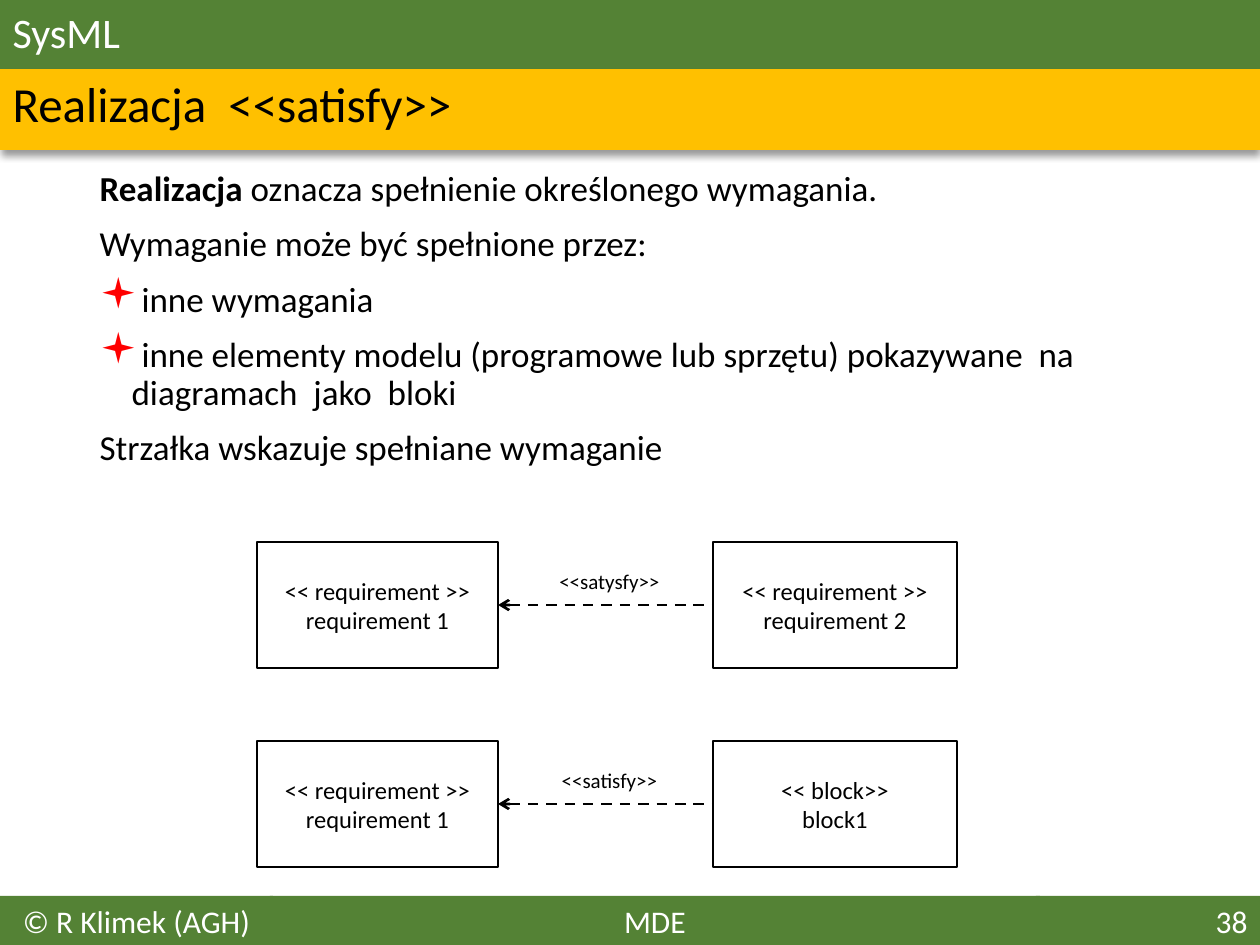
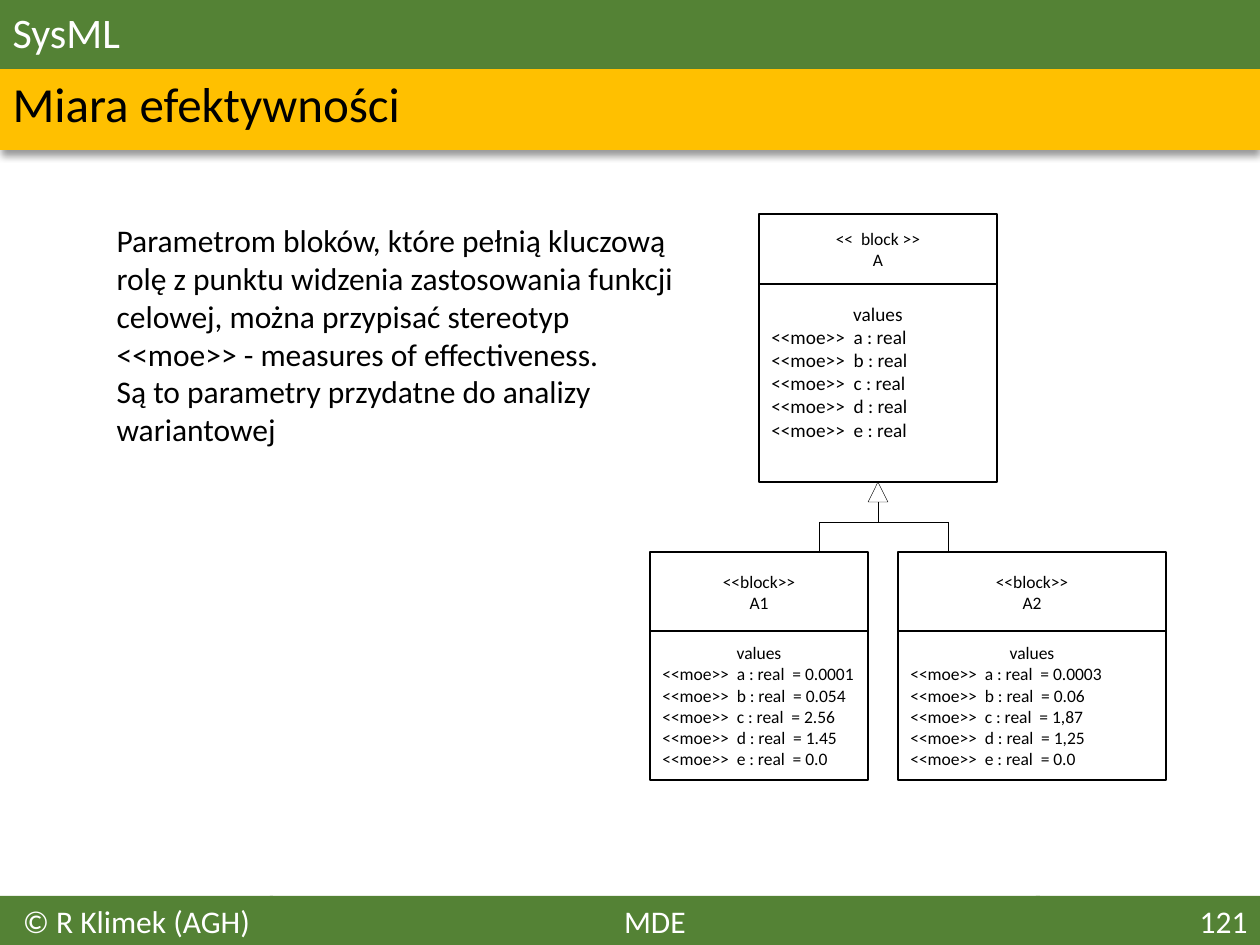
from lxml.etree import SubElement
from pptx import Presentation
from pptx.dml.color import RGBColor
from pptx.enum.dml import MSO_LINE
from pptx.enum.shapes import MSO_CONNECTOR, MSO_SHAPE
from pptx.enum.text import MSO_ANCHOR, MSO_AUTO_SIZE, PP_ALIGN
from pptx.oxml import parse_xml
from pptx.oxml.ns import nsdecls, qn
from pptx.util import Emu, Pt

FONT = "Calibri"
GREEN, GOLD, RED, BLACK, WHITE = "548235", "FFC000", "FF0000", "000000", "FFFFFF"
LEFT, MID, RIGHT = PP_ALIGN.LEFT, PP_ALIGN.CENTER, PP_ALIGN.RIGHT
TWO_CONTENT = 3
HANG = 32
BAND_SHADOW = f"""<a:effectLst {nsdecls("a")}>
  <a:outerShdw blurRad="50800" dist="38100" dir="5400000" algn="t" rotWithShape="0">
    <a:srgbClr val="{BLACK}"><a:alpha val="40000"/></a:srgbClr>
  </a:outerShdw></a:effectLst>"""


def px(n):
    return Emu(round(n * 914400 / 126))


def rgb(code):
    return RGBColor.from_string(code)


def place(shape, box):
    shape.left, shape.top, shape.width, shape.height = map(px, box)


def mark(para, on, hang):
    """Set the hanging indent and the bullet, or switch the bullet off."""
    props = para._p.get_or_add_pPr()
    props.set("marL", str(px(hang)))
    props.set("indent", str(-px(hang)))
    if not on:
        SubElement(props, qn("a:buNone"))
        return
    SubElement(SubElement(props, qn("a:buClr")), qn("a:srgbClr"), val=RED)
    SubElement(props, qn("a:buSzPct"), val="120000")
    SubElement(props, qn("a:buFont"), typeface="Wingdings")
    SubElement(props, qn("a:buChar"), char="▪")


def write(shape, lines, size, color=BLACK, align=LEFT, first=None, anchor=MSO_ANCHOR.TOP,
          bold="", bullets=(), hang=0, space=0, lead=1.0, foot=6):
    """Fill a shape with lines; first aligns the top line, bold is its opening words."""
    frame = shape.text_frame
    frame.auto_size = MSO_AUTO_SIZE.NONE
    frame.word_wrap = True
    frame.vertical_anchor = anchor
    frame.margin_bottom = px(foot)
    for i, line in enumerate(lines):
        para = frame.add_paragraph() if i else frame.paragraphs[0]
        mark(para, i in bullets, hang)
        para.alignment = align if i or first is None else first
        para.line_spacing = lead
        para.space_before = Pt(space if i else 0)
        cut = len(bold) if i == 0 else 0
        for part, heavy in ((line[:cut], True), (line[cut:], False)):
            if part:
                run = para.add_run()
                run.text = part
                font = run.font
                font.name, font.size, font.bold = FONT, Pt(size), heavy
                font.color.rgb = rgb(color)


def draw(slide, box, fill=None, line=None, kind=MSO_SHAPE.RECTANGLE):
    """Add a preset shape; line is a width in points."""
    shape = slide.shapes.add_shape(kind, *map(px, box))
    shape.shadow.inherit = False
    if fill:
        shape.fill.solid()
        shape.fill.fore_color.rgb = rgb(fill)
    else:
        shape.fill.background()
    if line:
        shape.line.width = Pt(line)
        shape.line.color.rgb = rgb(BLACK)
    else:
        shape.line.fill.background()
    return shape


def link(slide, start, end, width=0.5, arrow=False):
    line = slide.shapes.add_connector(MSO_CONNECTOR.STRAIGHT, *map(px, start + end))
    line.line.width = Pt(width)
    line.line.color.rgb = rgb(BLACK)
    props = line._element.spPr
    if arrow:
        line.line.dash_style = MSO_LINE.DASH
        SubElement(props.find(qn("a:ln")), qn("a:headEnd"), type="arrow")
    SubElement(props, qn("a:effectLst"))


def frame(deck, head, number):
    """Add a slide with its bands and footer; return it and its body placeholder."""
    slide = deck.slides.add_slide(deck.slide_layouts[TWO_CONTENT])
    title, band, body = slide.placeholders
    for shape, box, fill in ((title, (0, 0, 1260, 69), GREEN), (band, (0, 69, 1260, 81), GOLD)):
        place(shape, box)
        shape.fill.solid()
        shape.fill.fore_color.rgb = rgb(fill)
    band._element.spPr.append(parse_xml(BAND_SHADOW))
    write(title, ["SysML"], 24, WHITE, anchor=MSO_ANCHOR.MIDDLE, lead=0.9)
    write(band, [head], 28, anchor=MSO_ANCHOR.MIDDLE, lead=0.9, foot=12)
    for x, wide, note, align in ((270, 770, "MDE", MID),
                                 (0, 273, "© R Klimek (AGH)", MID),
                                 (1036, 224, str(number), RIGHT)):
        write(draw(slide, (x, 896, wide, 49), GREEN), [note], 18, WHITE, align)
    return slide, body


def pair(slide, x, y, label, source):
    """Draw a requirement satisfied by the source box on its right."""
    tall, near, gap, far = 126, 241, 215, 244
    goal = ["<< requirement >>", "requirement 1"]
    right = x + near + gap
    link(slide, (x + near, y + tall // 2), (right, y + tall // 2), 1.5, arrow=True)
    for left, wide, lines in ((x, near, goal), (right, far, source)):
        write(draw(slide, (left, y, wide, tall), line=1), lines, 14,
              align=MID, anchor=MSO_ANCHOR.MIDDLE)
    note = slide.shapes.add_textbox(*map(px, (x + 214, y + 20, 277, 38)))
    write(note, [label], 12, align=MID)


def block(slide, box, split, name, values, size=10, foot=6):
    """Draw a block with its name above the split and its values below."""
    x, y, wide, tall = box
    write(draw(slide, (x, y, wide, split), line=1), name, 10,
          align=MID, anchor=MSO_ANCHOR.MIDDLE)
    rows = ["values"] + [f"<<moe>>  {key} : real{value}" for key, value in zip("abcde", values)]
    write(draw(slide, (x, y + split, wide, tall - split), line=1), rows, size,
          first=MID, anchor=MSO_ANCHOR.MIDDLE, foot=foot)


def tree(slide, x, y, left, right):
    """Draw the generalization from the parent's foot at x, y to two children."""
    bar, low = y + 40, y + 70
    link(slide, (left, bar), (right, bar))
    for child in (left, right):
        link(slide, (child, bar), (child, low))
    draw(slide, (x - 10, y, 20, 20), line=0.25, kind=MSO_SHAPE.ISOSCELES_TRIANGLE)
    link(slide, (x, y + 20), (x, bar))


def satisfy(deck):
    slide, body = frame(deck, "Realizacja  <<satisfy>>", 38)
    place(body, (87, 165, 1101, 679))
    write(body, ["Realizacja oznacza spełnienie określonego wymagania.",
                 "Wymaganie może być spełnione przez:",
                 "inne wymagania",
                 "inne elementy modelu (programowe lub sprzętu) pokazywane  na  diagramach  jako  bloki",
                 "Strzałka wskazuje spełniane wymaganie"],
          20, bold="Realizacja", bullets=(2, 3), hang=HANG, space=10, lead=0.9)
    pair(slide, 257, 542, "<<satysfy>>", ["<< requirement >>", "requirement 2"])
    pair(slide, 257, 741, "<<satisfy>>", ["<< block>>", "block1"])


def measure(deck):
    slide, body = frame(deck, "Miara efektywności", 121)
    place(body, (104, 215, 586, 242))
    write(body, ["Parametrom bloków, które pełnią kluczową rolę z punktu widzenia zastosowania "
                 "funkcji celowej, można przypisać stereotyp <<moe>> - measures of effectiveness.",
                 "Są to parametry przydatne do analizy wariantowej"], 18)
    block(slide, (759, 214, 238, 268), 70, ["<<  block >>", "A"], [""] * 5, 11, foot=29)
    tree(slide, 878, 482, 819, 948)
    for x, wide, name, values in (
            (650, 218, "A1", ("0.0001", "0.054", "2.56", "1.45", "0.0")),
            (898, 268, "A2", ("0.0003", "0.06", "1,87", "1,25", "0.0"))):
        block(slide, (x, 552, wide, 228), 79, ["<<block>>", name],
              [f"  = {value}" for value in values])


def main():
    deck = Presentation()
    deck.slide_width, deck.slide_height = px(1260), px(945)
    satisfy(deck)
    measure(deck)
    deck.save("out.pptx")


if __name__ == "__main__":
    main()
